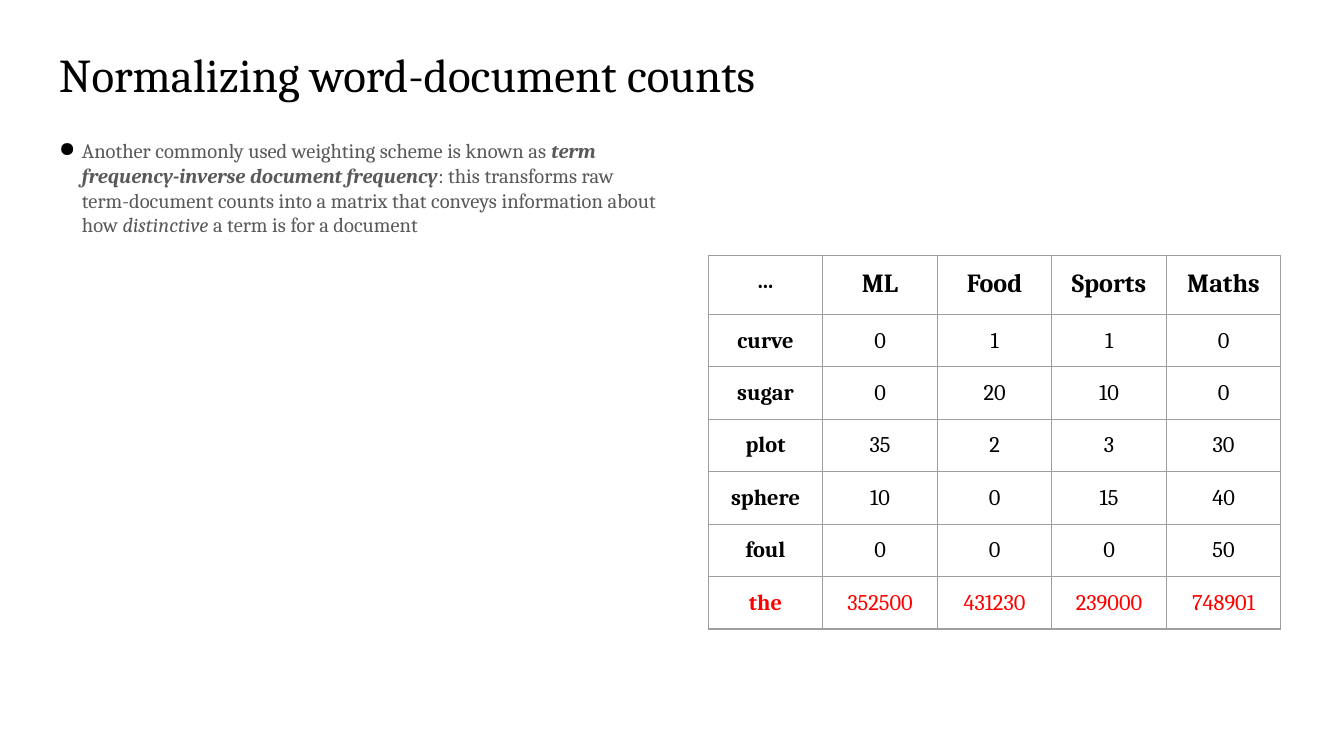
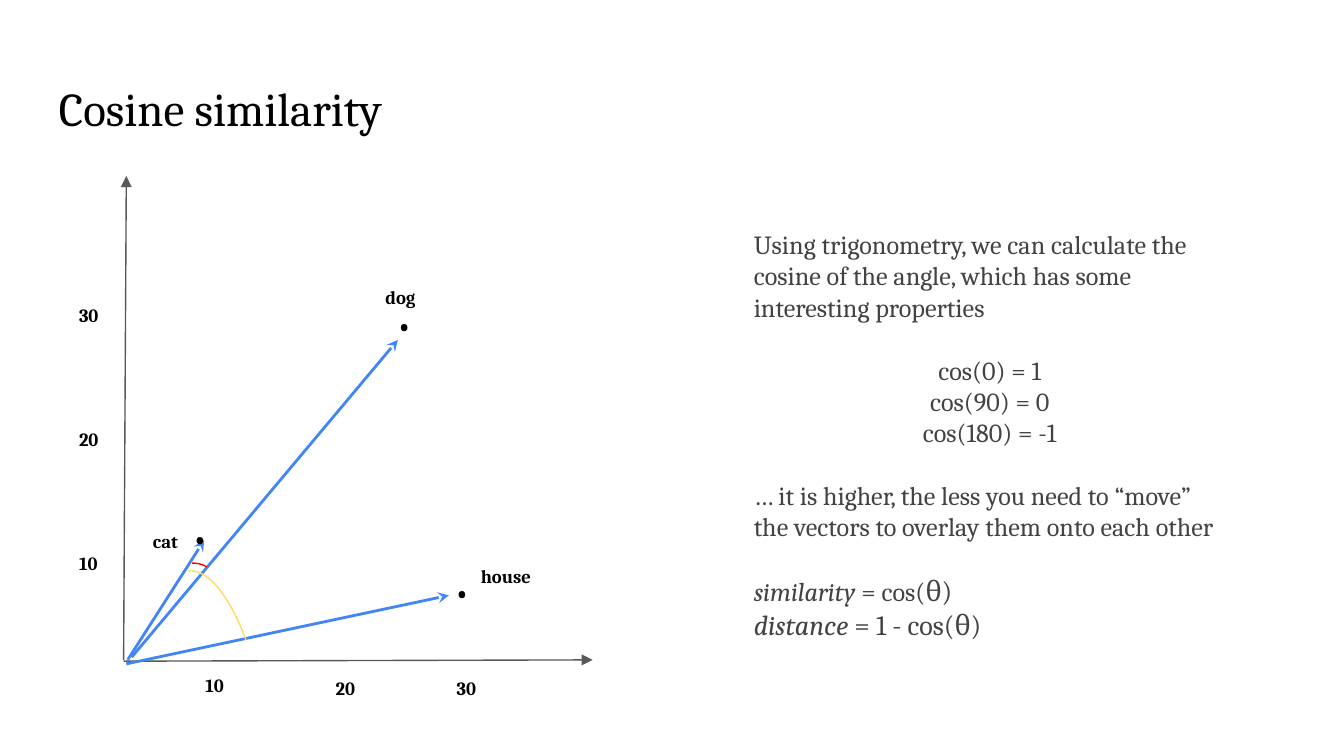
from collections import namedtuple

from lxml import etree
from pptx import Presentation
from pptx.dml.color import RGBColor
from pptx.enum.shapes import MSO_CONNECTOR
from pptx.enum.text import PP_ALIGN
from pptx.oxml.ns import qn
from pptx.util import Emu, Inches, Pt

LEFT, CENTER = PP_ALIGN.LEFT, PP_ALIGN.CENTER
STRAIGHT = MSO_CONNECTOR.STRAIGHT

BLACK = RGBColor(0x00, 0x00, 0x00)
DARK_GRAY = RGBColor(0x43, 0x43, 0x43)
GRAY = RGBColor(0x59, 0x59, 0x59)
BORDER_GRAY = RGBColor(0x9E, 0x9E, 0x9E)
RED = RGBColor(0xFF, 0x00, 0x00)
BLUE = RGBColor(0x42, 0x85, 0xF4)
YELLOW = RGBColor(0xFF, 0xD9, 0x66)

FONT = "Cambria"
THIN = Pt(0.75)
COLUMNS = 100  # square grid cells across the slide
SLIDE_WIDTH = Inches(10)
SLIDE_HEIGHT = Emu(SLIDE_WIDTH * 9 // 16)
CELL = SLIDE_WIDTH / COLUMNS

Box = namedtuple("Box", "left top width height")

COUNTS = [
    ["…", "ML", "Food", "Sports", "Maths"],
    ["curve", "0", "1", "1", "0"],
    ["sugar", "0", "20", "10", "0"],
    ["plot", "35", "2", "3", "30"],
    ["sphere", "10", "0", "15", "40"],
    ["foul", "0", "0", "0", "50"],
    ["the", "352500", "431230", "239000", "748901"],
]


def grid(cells):
    return Emu(round(cells * CELL))


def inside(box, left, top, width=0, height=0):
    """Box given in grid cells from the top left corner of another box."""
    return Box(box.left + left, box.top + top, width, height)


def add_text(para, text, size=14, color=BLACK, bold=False, italic=False):
    span = para.add_run()
    span.text = text
    font = span.font
    font.name, font.size, font.bold, font.italic = FONT, Pt(size), bold, italic
    font.color.rgb = color


def set_insets(target, across, top, bottom):
    target.margin_left = target.margin_right = Inches(across)
    target.margin_top, target.margin_bottom = Inches(top), Inches(bottom)


def add_frame(page, box, across=0.1, down=0.1):
    frame = page.shapes.add_textbox(*map(grid, box)).text_frame
    frame.word_wrap = True
    set_insets(frame, across, down, down)
    return frame


def add_label(page, box, text, **style):
    add_text(add_frame(page, box).paragraphs[0], text, **style)


def add_title(page, top, text):
    add_label(page, Box(3.4, top, 93.2, 6.3), text, size=25.2)


def add_bullet(para, symbol, size):
    properties = para._p.get_or_add_pPr()
    properties.set("marL", str(Inches(0.2)))
    properties.set("indent", str(Inches(-0.17)))
    color = etree.SubElement(properties, qn("a:buClr"))
    etree.SubElement(color, qn("a:srgbClr"), val=str(BLACK))
    etree.SubElement(properties, qn("a:buSzPts"), val=str(size * 100))
    etree.SubElement(properties, qn("a:buChar"), char=symbol)
    para.font.size = Pt(size)


def add_scheme_text(page, box, size=11):
    para = add_frame(page, box, across=0.07, down=0.04).paragraphs[0]
    add_bullet(para, "●", size)
    for text, style in [
        ("Another commonly used weighting scheme is known as ", {}),
        ("term frequency-inverse document frequency", {"bold": True, "italic": True}),
        (": this transforms raw term-document counts into a matrix that conveys "
         "information about how ", {}),
        ("distinctive ", {"italic": True}),
        ("a term is for a document", {}),
    ]:
        add_text(para, text, size=size, color=GRAY, **style)


def set_borders(cell):
    properties = cell._tc.get_or_add_tcPr()
    for side in ("lnL", "lnR", "lnT", "lnB"):
        line = etree.SubElement(properties, qn("a:" + side), w=str(THIN))
        fill = etree.SubElement(line, qn("a:solidFill"))
        etree.SubElement(fill, qn("a:srgbClr"), val=str(BORDER_GRAY))


def add_count_table(page, box, header_height):
    row_count, column_count = len(COUNTS), len(COUNTS[0])
    table = page.shapes.add_table(row_count, column_count, *map(grid, box)).table
    table.first_row = table.horz_banding = False
    for column in table.columns:
        column.width = grid(box.width / column_count)
    body_height = (box.height - header_height) / (row_count - 1)
    for row_index, values in enumerate(COUNTS):
        header = row_index == 0
        table.rows[row_index].height = grid(header_height if header else body_height)
        for column_index, value in enumerate(values):
            cell = table.cell(row_index, column_index)
            set_borders(cell)
            cell.fill.background()
            set_insets(cell, 0.1, 0.1, 0.09)
            para = cell.text_frame.paragraphs[0]
            para.alignment = CENTER
            add_text(para, value,
                     size=14 if header and column_index else 12,
                     color=RED if values[0] == "the" else BLACK,
                     bold=header or column_index == 0)


def add_arrow(page, box, start, end, color, width, head):
    """Arrow between two points given in grid cells inside the box."""
    points = [grid(value) for point in (start, end) for value in inside(box, *point)[:2]]
    arrow = page.shapes.add_connector(STRAIGHT, *points)
    arrow.line.color.rgb = color
    arrow.line.width = width
    etree.SubElement(arrow.line._get_or_add_ln(), qn("a:tailEnd"), type=head)
    etree.SubElement(arrow._element.spPr, qn("a:effectLst"))


def add_arc(page, box, controls, color, steps=24):
    """Cubic curve through four control points inside the box."""
    points = []
    for step in range(steps + 1):
        t = step / steps
        weights = ((1 - t) ** 3, 3 * t * (1 - t) ** 2, 3 * t ** 2 * (1 - t), t ** 3)
        x, y = (sum(w * value for w, value in zip(weights, axis)) for axis in zip(*controls))
        points.append((grid(box.left + x), grid(box.top + y)))
    builder = page.shapes.build_freeform(*points[0])
    builder.add_line_segments(points[1:], close=False)
    arc = builder.convert_to_shape()
    arc.shadow.inherit = False
    arc.fill.background()
    arc.line.color.rgb = color
    arc.line.width = THIN


def add_vector_plot(page, box):
    for start, end in [((0, box.height), (box.width, box.height - 0.1)),
                       ((0, box.height - 0.1), (0.2, 0))]:
        add_arrow(page, box, start, end, GRAY, THIN, "triangle")

    for start, end in [((0.3, 36), (6, 27.1)),
                       ((0.6, 35.8), (20.4, 12.2)),
                       ((0.2, 36.3), (24.2, 31.2))]:
        add_arrow(page, box, start, end, BLUE, Pt(1.5), "stealth")

    for left, top in [(4.3, 22.9), (19.5, 7.1), (23.8, 26.9)]:
        add_label(page, inside(box, left, top, 3, 6.3), ".", size=25.2, bold=True)

    labels = [("cat", 1.2, 25.5), ("dog", 18.5, 7.3), ("house", 25.6, 28.1),
              ("10", 5.1, 36.2), ("20", 14.8, 36.4), ("30", 23.8, 36.4)]
    labels += [(str(10 * (i + 1)), -4.3, 27.1 - 9.2 * i) for i in range(3)]
    for text, left, top in labels:
        add_label(page, inside(box, left, top, 8.4, 6.3), text, size=10, bold=True)

    add_arc(page, box, [(6.2, 29.1), (5.9, 28.9), (5.5, 28.8), (5.1, 28.8)], RED)
    add_arc(page, box, [(9.1, 34.5), (8.1, 31.8), (6.5, 29.2), (4.8, 29.4)], YELLOW)


def add_cosine_text(page, box):
    italic, large = {"italic": True}, {"size": 15}
    groups = [
        (LEFT, [[("Using trigonometry, we can calculate the cosine of the angle, "
                  "which has some interesting properties", {})]]),
        (CENTER, [[(f"cos({angle}) = {value}", {})]
                  for angle, value in [(0, 1), (90, 0), (180, -1)]]),
        (LEFT, [[("… it is higher, the less you need to “move” the vectors "
                  "to overlay them onto each other", {})]]),
        (LEFT, [[("similarity ", italic), ("= cos(", {}), ("θ)", large)],
                [("distance", italic | large), (" = 1 - cos(θ)", large)]]),
    ]
    frame = add_frame(page, box)
    for group_index, (alignment, lines) in enumerate(groups):
        for line_index, spans in enumerate(lines):
            first = group_index == line_index == 0
            para = frame.paragraphs[0] if first else frame.add_paragraph()
            para.alignment = alignment
            if group_index and line_index == 0:
                para.space_before = Pt(16.8)
            for text, style in spans:
                add_text(para, text, color=DARK_GRAY, **style)


def build_counts_slide(page):
    add_title(page, 2.4, "Normalizing word-document counts")
    add_count_table(page, Box(52.7, 19, 42.6, 27.8), header_height=4.4)
    add_scheme_text(page, Box(3.4, 9.9, 46.6, 38.2))


def build_cosine_slide(page):
    add_title(page, 4.9, "Cosine similarity")
    add_vector_plot(page, Box(9.2, 13.1, 34.9, 36.1))
    add_cosine_text(page, Box(55.1, 16, 37.1, 35.4))


def main():
    deck = Presentation()
    deck.slide_width, deck.slide_height = SLIDE_WIDTH, SLIDE_HEIGHT
    blank = deck.slide_layouts[6]
    for build in (build_counts_slide, build_cosine_slide):
        build(deck.slides.add_slide(blank))
    deck.save("out.pptx")


if __name__ == "__main__":
    main()
